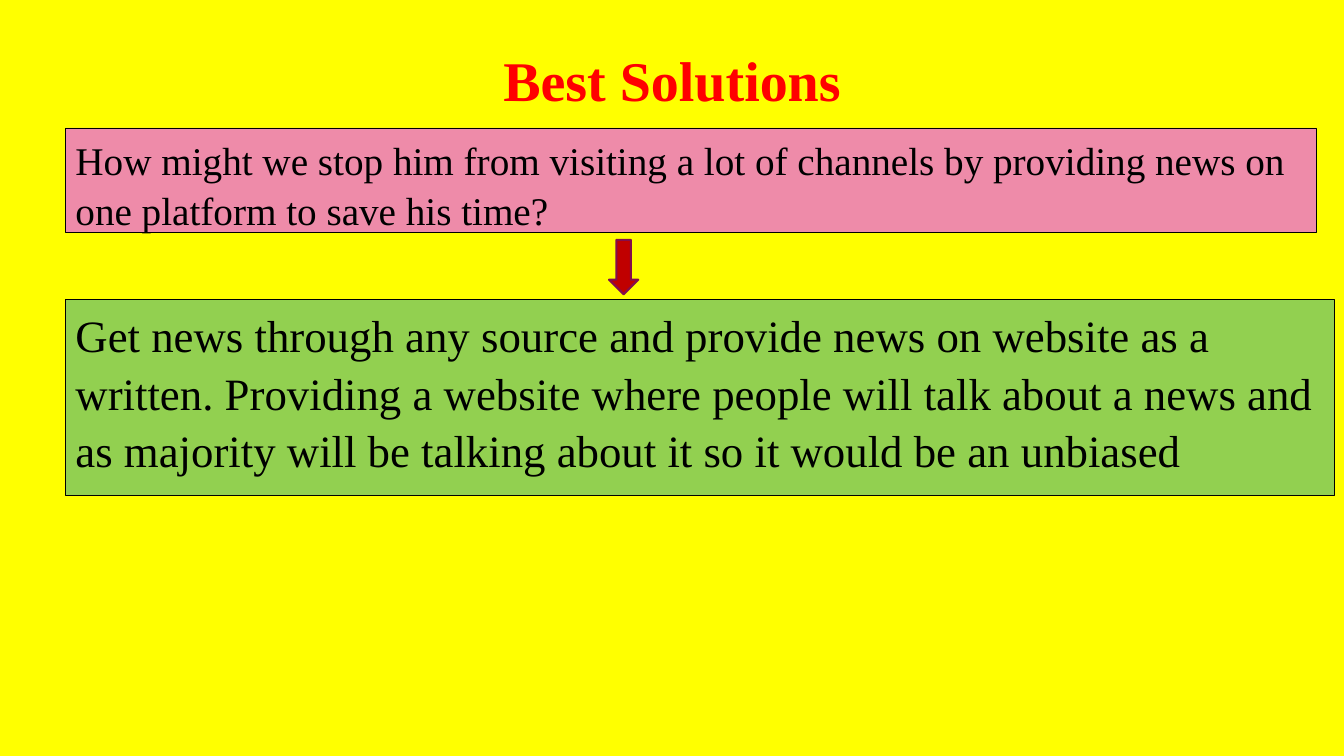
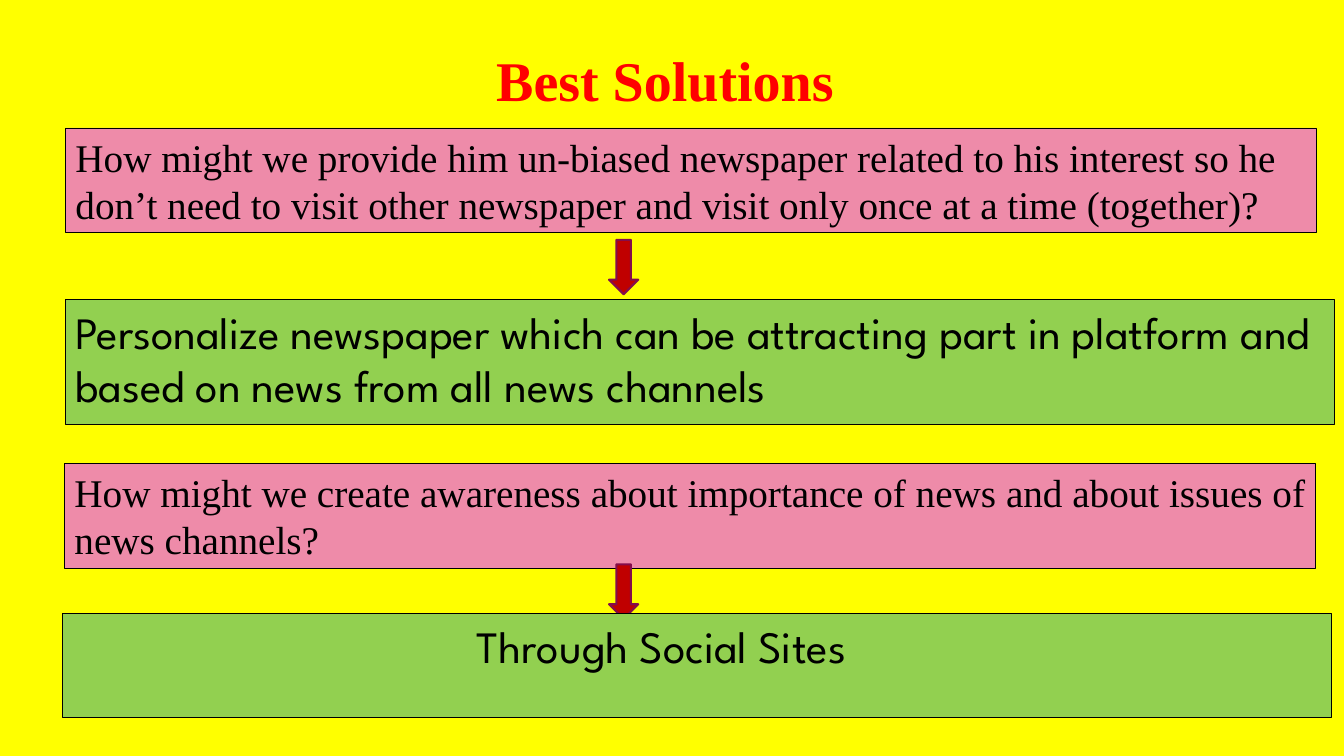
import pptx
import pptx.dml.color
import pptx.enum.shapes
import pptx.enum.text
import pptx.util

Inches = pptx.util.Inches
Pt = pptx.util.Pt
RGBColor = pptx.dml.color.RGBColor
MSO_SHAPE = pptx.enum.shapes.MSO_SHAPE
PP_ALIGN = pptx.enum.text.PP_ALIGN

YELLOW = RGBColor(0xFF, 0xFF, 0x00)
RED = RGBColor(0xFF, 0x00, 0x00)
PINK = RGBColor(0xEE, 0x8B, 0xA9)
GREEN = RGBColor(0x92, 0xD0, 0x50)
DARK_RED = RGBColor(0xC0, 0x00, 0x00)
PLUM = RGBColor(0x84, 0x0D, 0x4B)
BLACK = RGBColor(0x00, 0x00, 0x00)
SERIF = "Times New Roman"
SANS = "League Spartan"
PAGE_WIDTH = 13.33


class SolutionDeck:
    TITLE = {"name": SERIF, "size": Pt(40), "bold": True}
    QUESTION = {"name": SERIF, "size": Pt(28)}
    ANSWER = {"size": Pt(32)}

    def __init__(self):
        self.deck = pptx.Presentation()
        self.deck.slide_width = Inches(PAGE_WIDTH)
        self.deck.slide_height = Inches(7.5)
        self.page = None

    def add_page(self, title, title_shift=0):
        self.page = self.deck.slides.add_slide(self.deck.slide_layouts[6])
        background = self.page.background.fill
        background.solid()
        background.fore_color.rgb = YELLOW
        box = self.page.shapes.add_textbox(
            Inches(title_shift), Inches(0.4), Inches(PAGE_WIDTH), Inches(0.77))
        self.fill_text(box, title, self.TITLE, RED, PP_ALIGN.CENTER)

    def fill_text(self, box, text, font, color, align=PP_ALIGN.LEFT,
                  spacing=1.0):
        frame = box.text_frame
        frame.word_wrap = True
        frame.vertical_anchor = pptx.enum.text.MSO_ANCHOR.TOP
        para = frame.paragraphs[0]
        para.alignment = align
        para.line_spacing = spacing
        span = para.add_run()
        span.text = text
        for key, value in font.items():
            setattr(span.font, key, value)
        span.font.color.rgb = color

    def draw(self, kind, left, top, width, height, fill, line, weight):
        shape = self.page.shapes.add_shape(
            kind, Inches(left), Inches(top), Inches(width), Inches(height))
        shape.shadow.inherit = False
        shape.fill.solid()
        shape.fill.fore_color.rgb = fill
        shape.line.color.rgb = line
        shape.line.width = Pt(weight)
        return shape

    def question(self, text, top, left=0.65, spacing=1.0):
        box = self.draw(MSO_SHAPE.RECTANGLE, left, top, 12.41, 1.04,
                        PINK, BLACK, 0.5)
        self.fill_text(box, text, self.QUESTION, BLACK, spacing=spacing)

    def answer(self, text, top, height, left=0.65, font=SANS, spacing=1.0,
               inset=0.1):
        box = self.draw(MSO_SHAPE.RECTANGLE, left, top, 12.58, height,
                        GREEN, BLACK, 0.5)
        box.text_frame.margin_left = Inches(inset)
        self.fill_text(box, text, {"name": font, **self.ANSWER}, BLACK,
                       spacing=spacing)

    def arrow(self, top):
        self.draw(MSO_SHAPE.DOWN_ARROW, 6.04, top, 0.29, 0.54,
                  DARK_RED, PLUM, 1.5)


def main():
    slides = SolutionDeck()

    slides.add_page("Best Solutions")
    slides.question(
        "How might we stop him from visiting a lot of channels by providing "
        "news on one platform to save his time?", 1.27, spacing=1.07)
    slides.answer(
        "Get news through any source and provide news on website as a written. "
        "Providing a website where people will talk about a news and as "
        "majority will be talking about it so it would be an unbiased",
        2.97, 1.94, font=SERIF, spacing=1.07)
    slides.arrow(2.38)

    slides.add_page("Best Solutions", title_shift=-0.07)
    slides.question(
        "How might we provide him un-biased newspaper related to his interest "
        "so he don’t need to visit other newspaper and visit only once at a "
        "time (together)?", 1.27)
    slides.answer(
        "Personalize newspaper which can be attracting part in platform and "
        "based on news from all news channels", 2.97, 1.24)
    slides.arrow(2.38)
    slides.question(
        "How might we create awareness about importance of news and about "
        "issues of news channels?", 4.6, left=0.64)
    slides.arrow(5.6)
    slides.answer("Through Social Sites", 6.09, 1.03, left=0.62, inset=4.11)

    slides.deck.save("out.pptx")


if __name__ == "__main__":
    main()
